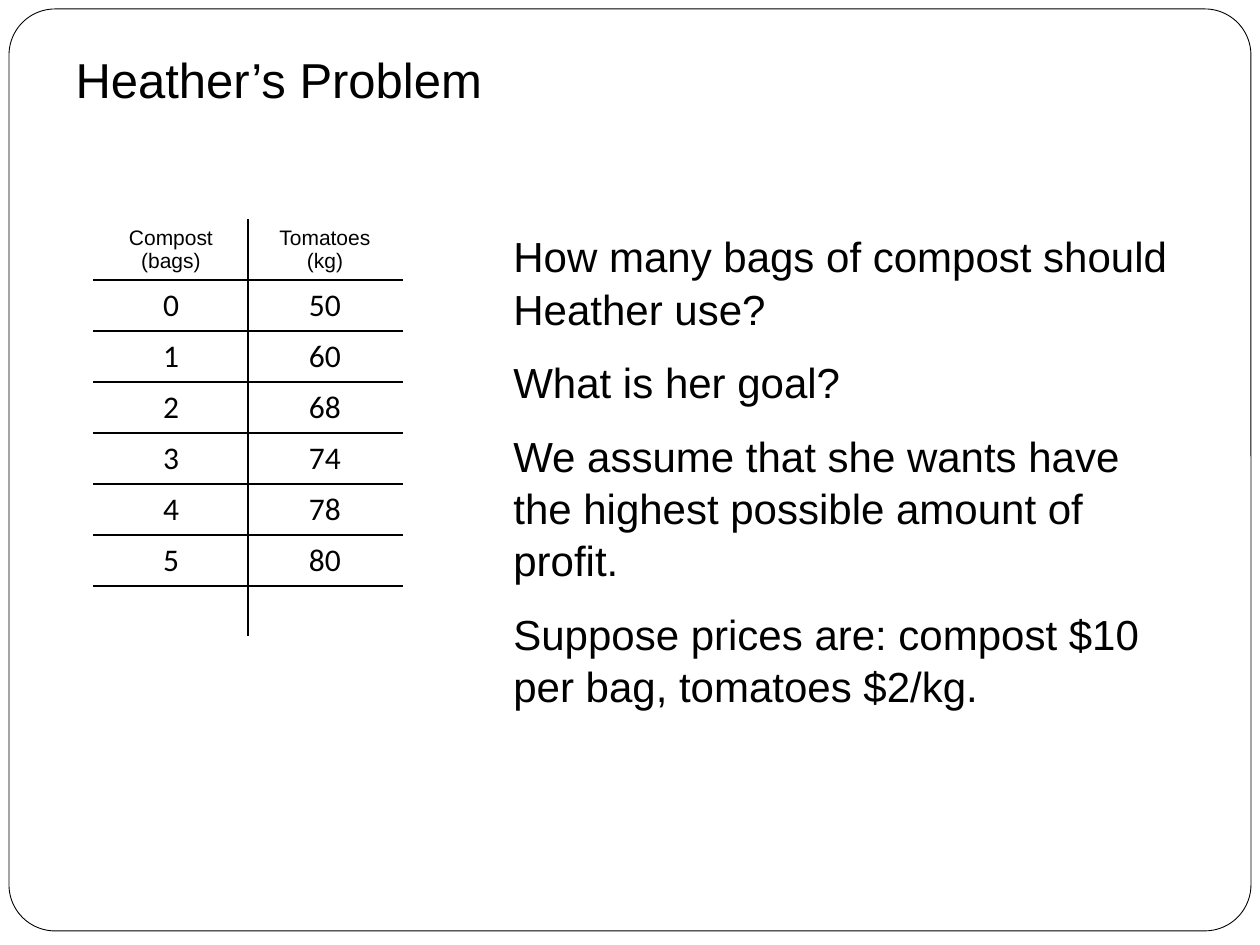
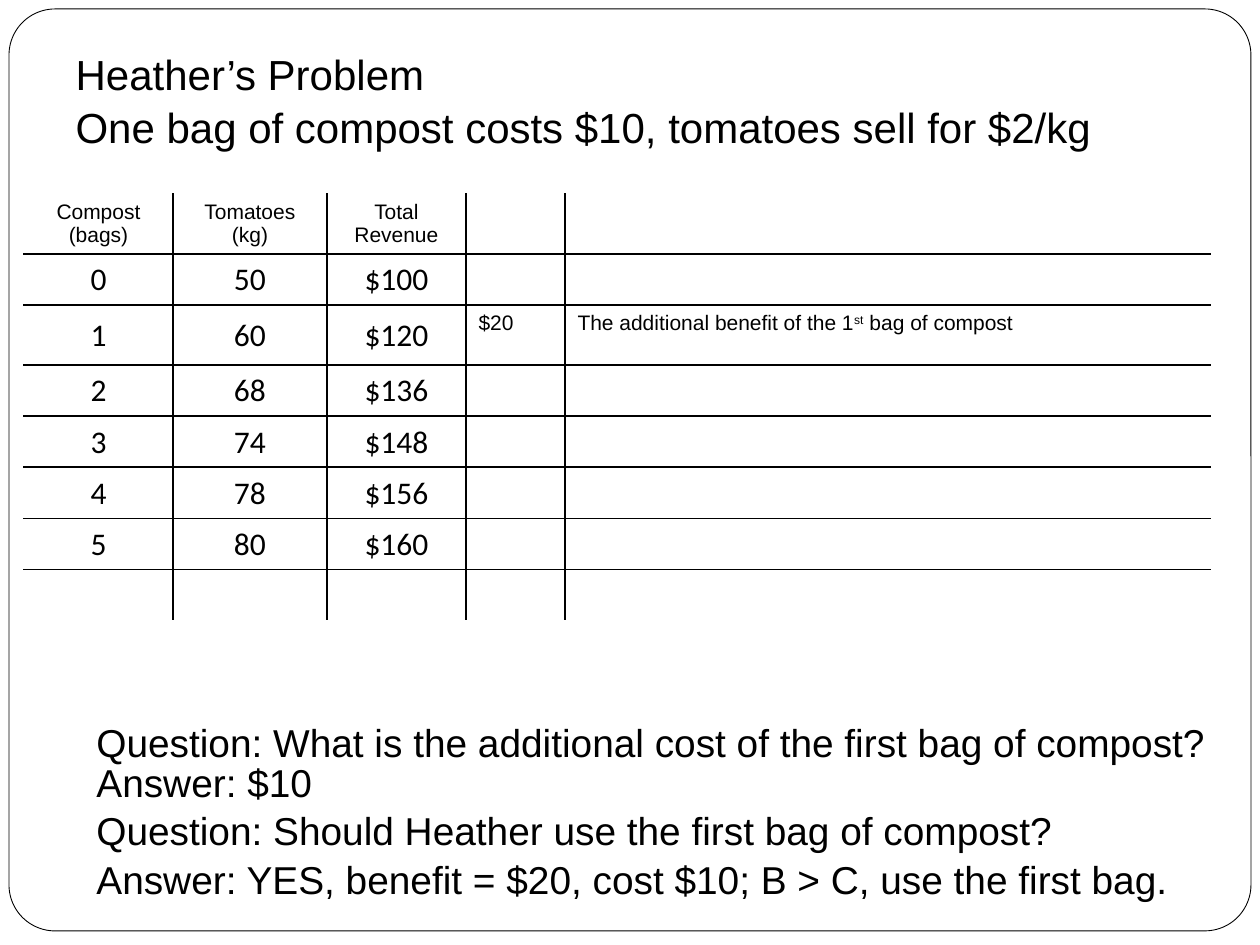
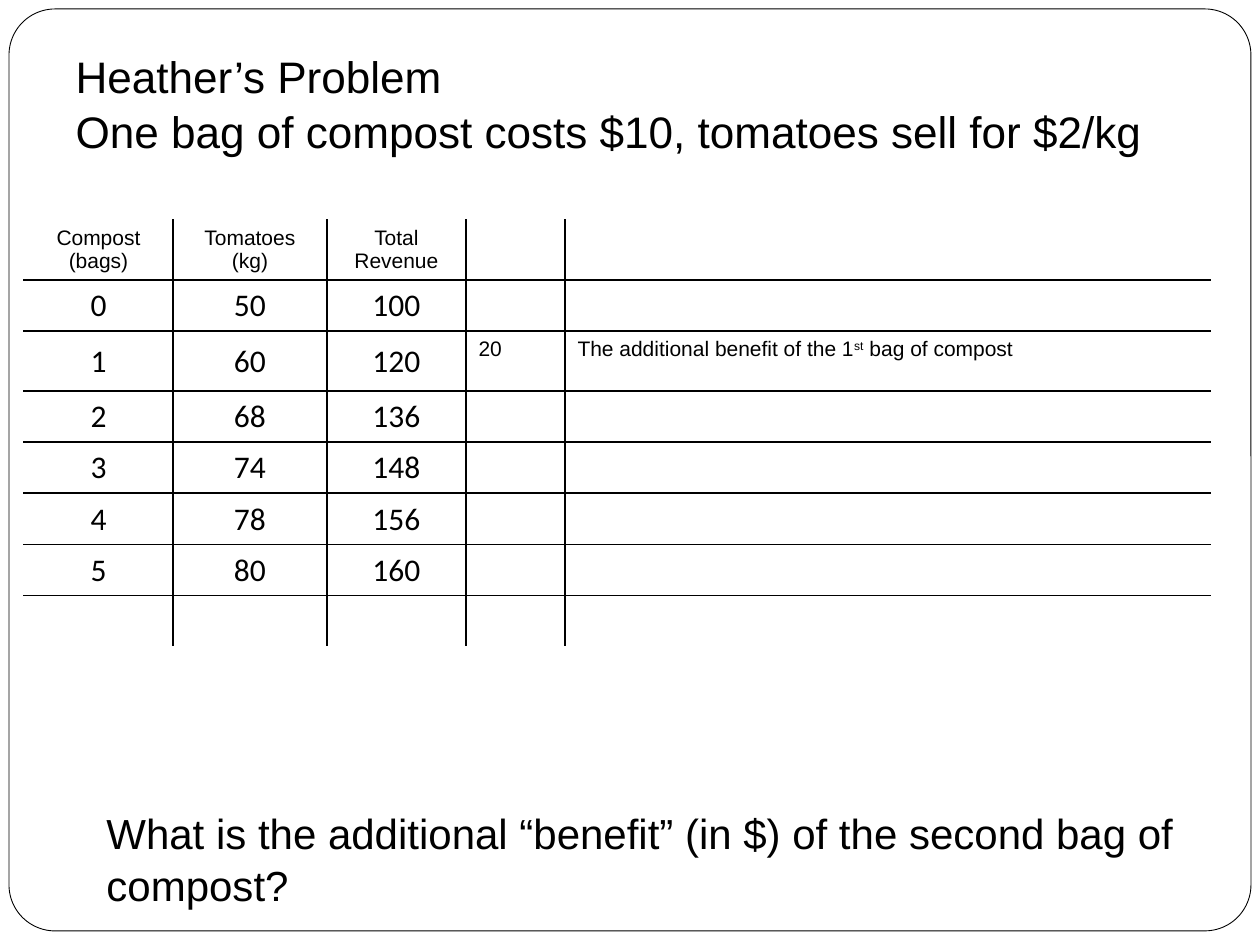
from dataclasses import dataclass
from typing import NamedTuple

from lxml.etree import SubElement
from pptx import Presentation
from pptx.dml.color import RGBColor
from pptx.enum.shapes import MSO_SHAPE
from pptx.enum.text import MSO_ANCHOR, MSO_AUTO_SIZE, PP_ALIGN
from pptx.oxml.ns import qn
from pptx.util import Emu, Pt


@dataclass(frozen=True)
class Theme:
    ink: RGBColor = RGBColor(0, 0, 0)
    page: RGBColor = RGBColor(255, 255, 255)
    sans: str = "Arial"
    digit: str = "Calibri"
    head: float = 12
    value: float = 18
    body: float = 24
    answer: float = 22.2
    lead: float = 1.04
    tight: float = 0.84
    edge: float = 0.5
    rule: float = 1
    after: float = 12


class Box(NamedTuple):
    left: int
    top: int
    width: int
    height: int


class Line(NamedTuple):
    text: str
    lead: float


class Grid(NamedTuple):
    left: int
    top: int
    cols: list[int]
    rows: list[int]
    cells: list[list[str]]


THEME = Theme()
FRAME = Box(9, 9, 1242, 922)
TITLE = Box(63, 38, 1134, 158)
HEAD_ROW, ROW = 60, 51
WIDE = [149, 154, 139, 99, 645]
YIELD = [50, 60, 68, 74, 78, 80]
PRICE = 2
HEADS = ["Compost\n(bags)", "Tomatoes\n(kg)", "Total Revenue"]
NOTE = "The additional benefit of the 1^st^ bag of compost"
TOPIC = "Heather’s Problem"
TERMS = TOPIC + "\vOne bag of compost costs $10, tomatoes sell for $2/kg"


def px(count: int) -> Emu:
    return Emu(round(count * 914400 / 126))


def place(box: Box) -> tuple[Emu, ...]:
    return tuple(px(side) for side in box)


def style(para, size: float, face: str = THEME.sans) -> None:
    para.font.size = Pt(size)
    para.font.name = face
    para.font.color.rgb = THEME.ink


def start(deck, title: str, size: float):
    slide = deck.slides.add_slide(deck.slide_layouts[5])
    frame = slide.shapes.add_shape(MSO_SHAPE.ROUNDED_RECTANGLE, *place(FRAME))
    frame.adjustments[0] = 0.05
    frame.shadow.inherit = False
    frame.fill.solid()
    frame.fill.fore_color.rgb = THEME.page
    frame.line.color.rgb = THEME.ink
    frame.line.width = Pt(THEME.edge)
    slide.shapes._spTree.insert(2, frame._element)
    head = slide.shapes.title
    head.left, head.top, head.width, head.height = place(TITLE)
    text = head.text_frame
    text.text = title
    text.auto_size = MSO_AUTO_SIZE.NONE
    text.vertical_anchor = MSO_ANCHOR.TOP
    text.margin_top = px(9)
    para = text.paragraphs[0]
    para.alignment = PP_ALIGN.LEFT
    para.line_spacing = THEME.lead
    style(para, size)
    return slide


def write(slide, box: Box, lines: list[Line], size: float,
          anchor: MSO_ANCHOR, after: float = 0) -> None:
    text = slide.shapes.add_textbox(*place(box)).text_frame
    text.word_wrap = True
    text.vertical_anchor = anchor
    text.margin_top = px(9)
    text.margin_bottom = 0
    text.text = "\n".join(line.text for line in lines)
    for para, line in zip(text.paragraphs, lines):
        para.line_spacing = line.lead
        para.space_after = Pt(after)
        style(para, size)


def border(cell, side: str, color: RGBColor) -> None:
    line = SubElement(cell._tc.get_or_add_tcPr(), qn(f"a:ln{side}"),
                      w=str(Pt(THEME.rule)))
    fill = SubElement(line, qn("a:solidFill"))
    SubElement(fill, qn("a:srgbClr"), val=str(color))


def fill_cell(cell, text: str, row: int, col: int) -> None:
    frame = cell.text_frame
    if "^" in text:
        para = frame.paragraphs[0]
        for index, part in enumerate(text.split("^")):
            run = para.add_run()
            run.text = part
            if index % 2:
                run._r.get_or_add_rPr().set("baseline", "30000")
    else:
        frame.text = text
    value = row > 0 and col < 3
    if value:
        cell.vertical_anchor = MSO_ANCHOR.MIDDLE
        cell.margin_left = cell.margin_right = cell.margin_top = px(1)
        cell.margin_bottom = 0
    for para in frame.paragraphs:
        if col < 3:
            para.alignment = PP_ALIGN.CENTER
        if value:
            style(para, THEME.value, THEME.digit)
        else:
            style(para, THEME.head)


def draw(slide, grid: Grid) -> None:
    high, wide = len(grid.rows), len(grid.cols)
    box = Box(grid.left, grid.top, sum(grid.cols), sum(grid.rows))
    table = slide.shapes.add_table(high, wide, *place(box)).table
    table.first_row = table.horz_banding = False
    for col, width in enumerate(grid.cols):
        table.columns[col].width = px(width)
    for row, height in enumerate(grid.rows):
        table.rows[row].height = px(height)
        for col in range(wide):
            cell = table.cell(row, col)
            outer = {"L": col == 0, "R": col == wide - 1,
                     "T": row == 0, "B": row == high - 1}
            for side, rim in outer.items():
                border(cell, side, THEME.page if rim else THEME.ink)
            cell.fill.solid()
            cell.fill.fore_color.rgb = THEME.page
            text = grid.cells[row][col]
            if text:
                fill_cell(cell, text, row, col)


def small() -> Grid:
    cells = [HEADS[:2]]
    cells += [[str(bags), str(kilos)] for bags, kilos in enumerate(YIELD)]
    cells.append([""] * 2)
    return Grid(94, 220, [154] * 2, [HEAD_ROW] + [ROW] * 7, cells)


def large(top: int, sign: str) -> Grid:
    cells = [HEADS + [""] * 2]
    for bags, kilos in enumerate(YIELD):
        gain = (kilos - YIELD[0]) * PRICE
        extra = [f"{sign}{gain}", NOTE] if bags == 1 else [""] * 2
        cells.append([str(bags), str(kilos), f"{sign}{kilos * PRICE}"] + extra)
    cells.append([""] * 5)
    return Grid(24, top, WIDE, [HEAD_ROW, ROW, HEAD_ROW] + [ROW] * 5, cells)


def main() -> None:
    deck = Presentation()
    deck.slide_width, deck.slide_height = px(1260), px(945)

    slide = start(deck, TOPIC, 28)
    draw(slide, small())
    goals = [
        "How many bags of compost should Heather use?",
        "What is her goal?",
        "We assume that she wants have the highest possible amount of profit.",
        "Suppose prices are: compost $10 per bag, tomatoes $2/kg.",
    ]
    write(slide, Box(501, 220, 696, 624),
          [Line(goal, THEME.lead) for goal in goals],
          THEME.body, MSO_ANCHOR.TOP, THEME.after)

    slide = start(deck, TERMS, 24)
    draw(slide, large(194, "$"))
    write(slide, Box(84, 685, 1152, 217), [
        Line("Question: What is the additional cost of the first bag of compost?",
             THEME.tight),
        Line("Answer: $10", THEME.tight),
        Line("Question: Should Heather use the first bag of compost?", THEME.lead),
        Line("Answer: YES, benefit = $20, cost $10; B > C, use the first bag.",
             THEME.lead),
    ], THEME.answer, MSO_ANCHOR.BOTTOM)

    slide = start(deck, TERMS, 25.2)
    draw(slide, large(220, ""))
    write(slide, Box(94, 732, 1113, 178), [
        Line("What is the additional “benefit” (in $) of the second bag of compost?",
             THEME.lead),
    ], THEME.body, MSO_ANCHOR.BOTTOM)

    deck.save("out.pptx")


if __name__ == "__main__":
    main()
